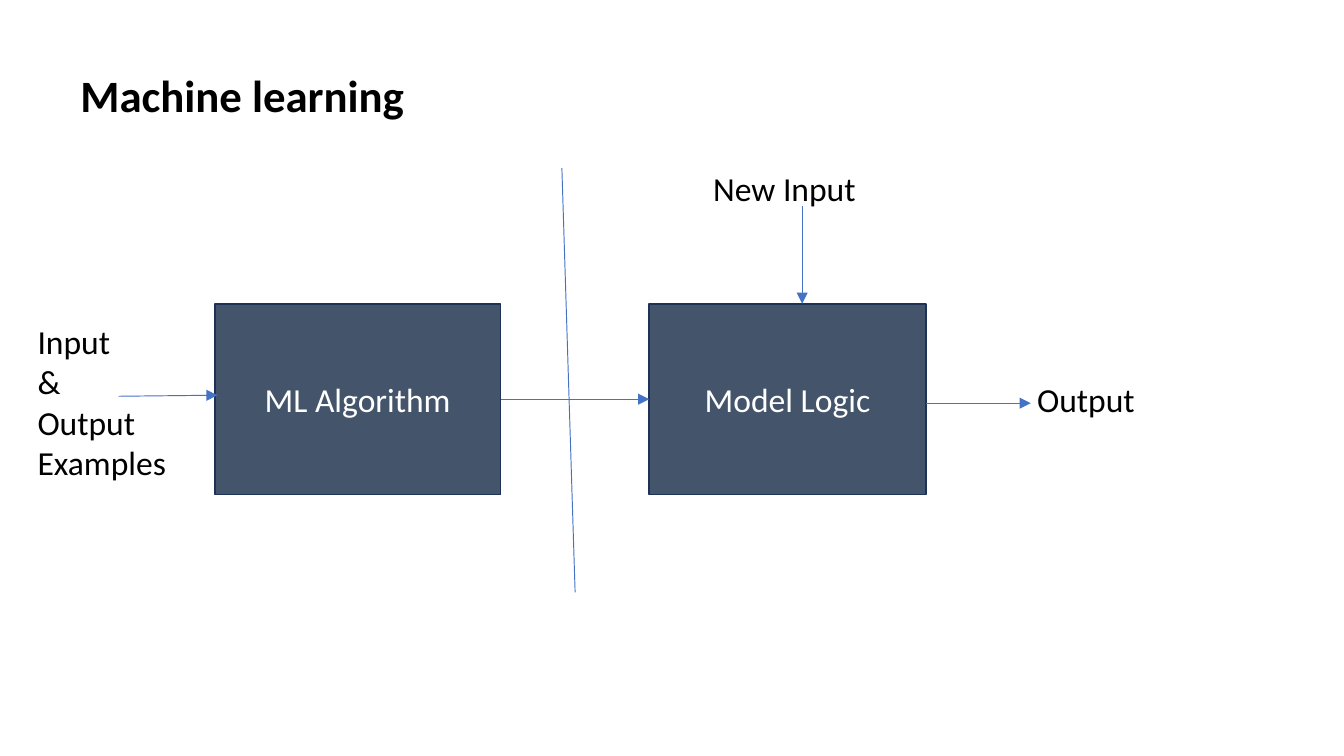
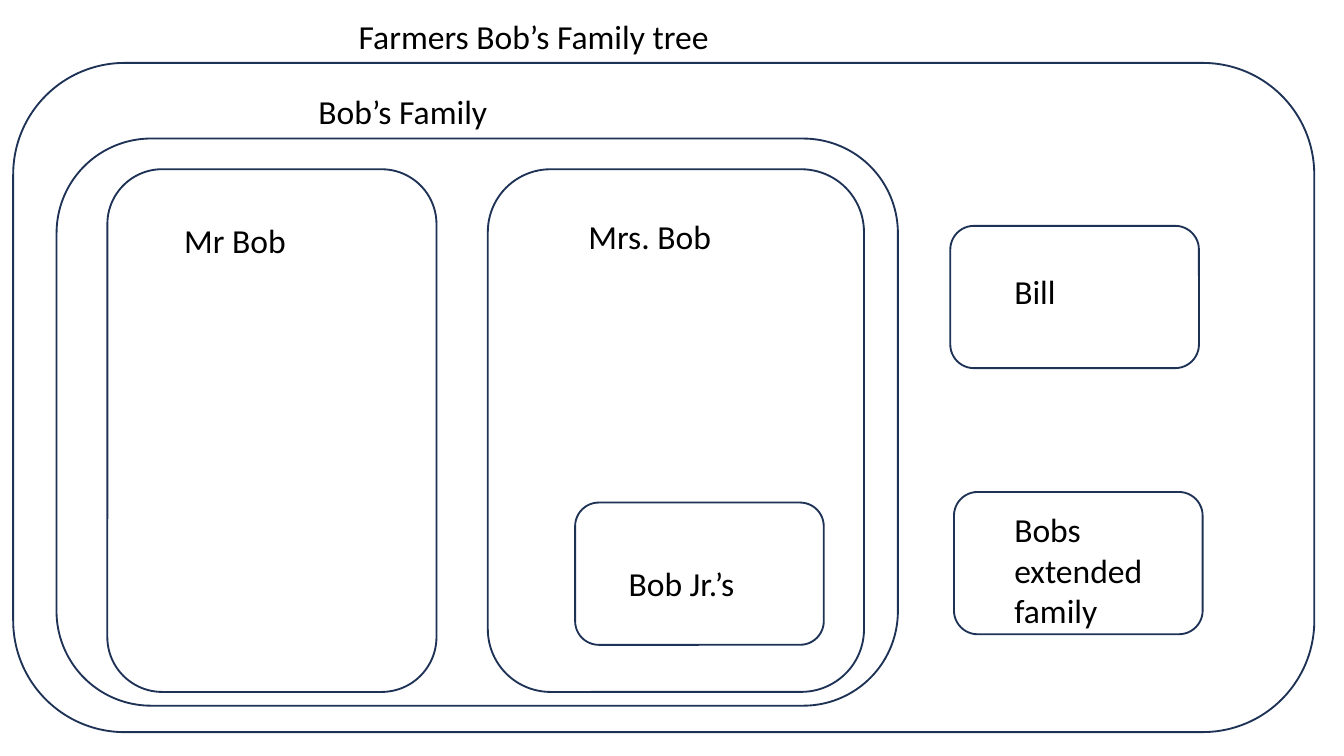
from pptx import Presentation
from pptx import util as u
from pptx.dml import color
from pptx.enum import shapes, text
from pptx.oxml import ns
from lxml import etree

COLORS = {"ink": "000000", "paper": "FFFFFF", "box": "44546A",
          "edge": "1E3256", "arrow": "4472C4"}
FONT = "Calibri"
BODY, TITLE = 18, 24
LINE_H = 1.02  # height of a one-line label, cm


def rgb(name):
    return color.RGBColor.from_string(COLORS[name])


class Deck:
    """Holds the style and the current slide; places are in centimetres."""

    def __init__(self):
        self.prs = Presentation()
        self.prs.slide_width, self.prs.slide_height = u.Cm(25.4), u.Cm(14.29)
        self.s = None

    def slide(self):
        self.s = self.prs.slides.add_slide(self.prs.slide_layouts[6])
        fill = self.s.background.fill
        fill.solid()
        fill.fore_color.rgb = rgb("paper")

    def set_text(self, tf, content, size=BODY, ink="ink", bold=False,
                 align=text.PP_ALIGN.LEFT):
        tf.text = content
        for p in tf.paragraphs:
            p.alignment = align
            for r in p.runs:
                r.font.name, r.font.size, r.font.bold = FONT, u.Pt(size), bold
                r.font.color.rgb = rgb(ink)

    def label(self, content, x, y, w, h=LINE_H, wrap=True):
        tf = self.s.shapes.add_textbox(*map(u.Cm, (x, y, w, h))).text_frame
        tf.word_wrap = wrap
        tf.auto_size = text.MSO_AUTO_SIZE.SHAPE_TO_FIT_TEXT
        self.set_text(tf, content)

    def title(self, content):
        sp = self.s.shapes.add_textbox(*map(u.Cm, (1.27, 0.64, 22.86, 2.29)))
        tf = sp.text_frame
        tf.word_wrap = True
        tf.vertical_anchor = text.MSO_ANCHOR.MIDDLE
        self.set_text(tf, content, TITLE, bold=True)

    def shape(self, kind, x, y, w, h):
        sp = self.s.shapes.add_shape(kind, *map(u.Cm, (x, y, w, h)))
        sp.shadow.inherit = False
        sp.line.color.rgb = rgb("edge")
        sp.line.width = u.Pt(1)
        return sp

    def box(self, content, x, y, w, h):
        sp = self.shape(shapes.MSO_SHAPE.RECTANGLE, x, y, w, h)
        sp.fill.solid()
        sp.fill.fore_color.rgb = rgb("box")
        sp.text_frame.vertical_anchor = text.MSO_ANCHOR.MIDDLE
        self.set_text(sp.text_frame, content, ink="paper",
                      align=text.PP_ALIGN.CENTER)
        return sp

    def group(self, x, y, w, h):
        sp = self.shape(shapes.MSO_SHAPE.ROUNDED_RECTANGLE, x, y, w, h)
        sp.fill.background()

    def line(self, x1, y1, x2, y2, arrow=True):
        c = self.s.shapes.add_connector(shapes.MSO_CONNECTOR.STRAIGHT,
                                        *map(u.Cm, (x1, y1, x2, y2)))
        c.line.color.rgb = rgb("arrow")
        c.line.width = u.Pt(0.5)
        sp_pr = c._element.spPr
        if arrow:
            ln = sp_pr.find(ns.qn("a:ln"))
            etree.SubElement(ln, ns.qn("a:tailEnd"), type="triangle")
        etree.SubElement(sp_pr, ns.qn("a:effectLst"))
        return c


def machine_learning(d):
    d.slide()
    d.title("Machine learning")

    # Two stages and the arrow that joins them
    top, height = 5.74, 3.61
    middle = top + height / 2
    algorithm = d.box("ML Algorithm", 4.06, top, 5.4, height)
    model = d.box("Model Logic", 12.27, top, 5.23, height)
    c = d.line(9.46, middle, 12.27, middle)
    c.begin_connect(algorithm, 3)
    c.end_connect(model, 1)

    # Inputs, output and the divider between training and use
    d.line(2.24, 7.49, 4.11, 7.47)
    d.line(17.5, 7.62, 19.48, 7.62)
    d.line(15.16, 3.89, 15.16, top)
    d.line(10.62, 3.18, 10.87, 11.2, arrow=False)
    d.label("Input\n&\nOutput\nExamples", 0.46, 5.94, 3, 3.33)
    d.label("Output", 19.35, 7.04, 3.53)
    d.label("New Input", 13.23, 3.05, 4.8)


def family_tree(d):
    d.slide()

    # Nested families
    d.group(0.25, 1.19, 24.59, 12.65)
    d.group(1.07, 2.62, 15.9, 10.72)
    d.label("Farmers Bob’s Family tree", 6.53, 0.18, 9.02)
    d.label("Bob’s Family", 5.77, 1.6, 8.1)

    # Parents
    for x, w in ((2.03, 6.22), (9.22, 7.11)):
        d.group(x, 3.2, w, 9.88)
    d.label("Mr Bob", 3.23, 4.04, 2.46, wrap=False)
    d.label("Mrs. Bob", 10.87, 3.96, 2.84, wrap=False)

    # Small cards of one size
    for x, y in ((10.87, 9.5), (17.96, 4.27), (18.03, 9.3)):
        d.group(x, y, 4.7, 2.69)
    d.label("Bob Jr.’s", 11.63, 10.52, 2.54, wrap=False)
    d.label("Bill", 18.92, 5, 1.3, wrap=False)
    d.label("Bobs extended family", 18.92, 9.5, 3.35, 2.57)


def main():
    d = Deck()
    machine_learning(d)
    family_tree(d)
    d.prs.save("out.pptx")


if __name__ == "__main__":
    main()
